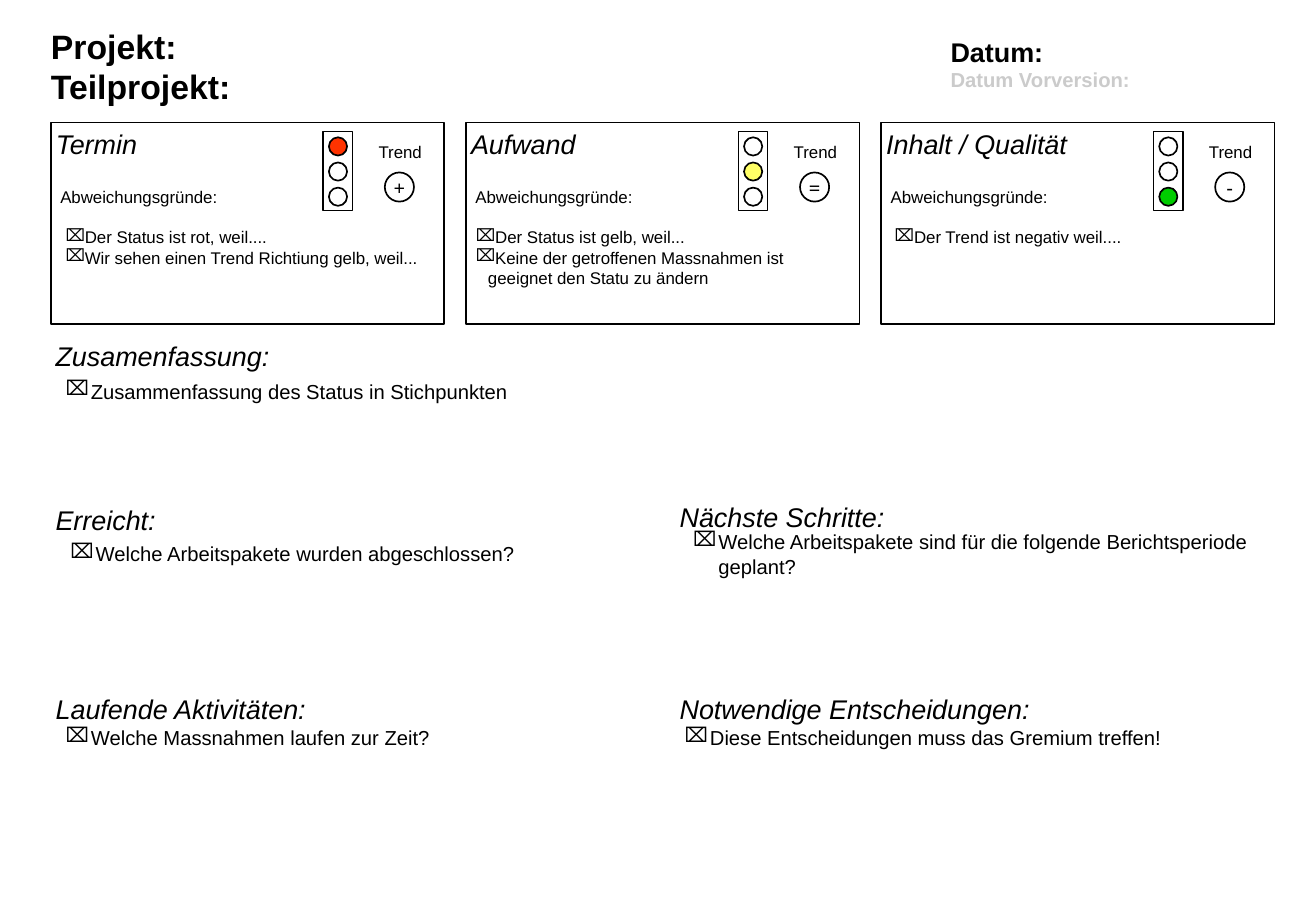
from pptx import Presentation
from pptx.dml.color import RGBColor
from pptx.enum.shapes import MSO_SHAPE
from pptx.enum.text import MSO_ANCHOR, PP_ALIGN
from pptx.oxml.ns import qn
from pptx.util import Pt
from lxml.etree import SubElement

COLORS = {
    "black": "000000", "white": "FFFFFF", "grey": "CBCBCB",
    "red": "FF3300", "yellow": "FFFF66", "green": "00CC00",
}

# Status panels: title, bullet offset, reasons, lamp colours, trend sign, its font
PANEL_LEFT, PANEL_TOP, PANEL_STEP = 30.24, 72.72, 246.24
PANELS = [
    ("Termin", 5.76,
     ["Der Status ist rot, weil....", "Wir sehen einen Trend Richtiung gelb, weil..."],
     ["red", None, None], "+", "Times New Roman"),
    ("Aufwand", 2.88,
     ["Der Status ist gelb, weil...",
      "Keine der getroffenen Massnahmen ist geeignet den Statu zu ändern"],
     [None, "yellow", None], "=", "Times New Roman"),
    ("Inhalt / Qualität", 5.04,
     ["Der Trend ist negativ weil...."],
     [None, None, "green"], "-", "Arial"),
]

# Sections: heading with its left, top, width; item with its left, top, width, height
SECTIONS = [
    ("Zusamenfassung:", (25.92, 198, 141.12),
     "Zusammenfassung des Status in Stichpunkten", (36, 221.76, 722.88, 34.56)),
    ("Erreicht:", (25.92, 295.2, 74.16),
     "Welche Arbeitspakete wurden abgeschlossen?", (38.88, 318.24, 350.64, 34.56)),
    ("Nächste Schritte:", (396, 293.04, 136.08),
     "Welche Arbeitspakete sind für die folgende Berichtsperiode geplant?",
     (408.24, 311.04, 350.64, 48.96)),
    ("Laufende Aktivitäten:", (25.92, 406.8, 163.44),
     "Welche Massnahmen laufen zur Zeit?", (36, 426.96, 354.24, 34.56)),
    ("Notwendige Entscheidungen:", (396, 406.8, 222.48),
     "Diese Entscheidungen muss das Gremium treffen!", (403.2, 426.96, 357.12, 34.56)),
]


def rgb(color):
    return RGBColor.from_string(COLORS[color])


def set_margins(frame, side, vertical):
    frame.margin_left = frame.margin_right = Pt(side)
    frame.margin_top = frame.margin_bottom = Pt(vertical)


def add_run(paragraph, text, size, color="black", font="Arial", bold=False, italic=False):
    run = paragraph.add_run()
    run.text = text
    run.font.name = font
    run.font.size = Pt(size)
    run.font.bold = bold
    run.font.italic = italic
    run.font.color.rgb = rgb(color)


def add_outlined(slide, kind, left, top, width, height, fill=None):
    outlined = slide.shapes.add_shape(kind, Pt(left), Pt(top), Pt(width), Pt(height))
    outlined.shadow.inherit = False
    if fill:
        outlined.fill.solid()
        outlined.fill.fore_color.rgb = rgb(fill)
    else:
        outlined.fill.background()
    outlined.line.color.rgb = rgb("black")
    outlined.line.width = Pt(1)
    return outlined


def add_text(slide, box, lines, margins=(2.88, 2.88), wrap=True):
    """Each line is a pair of text and run options."""
    frame = slide.shapes.add_textbox(*map(Pt, box)).text_frame
    frame.word_wrap = wrap
    set_margins(frame, *margins)
    for number, (text, options) in enumerate(lines):
        paragraph = frame.add_paragraph() if number else frame.paragraphs[0]
        add_run(paragraph, text, **options)
    return frame


def add_bullets(slide, box, items, size, indent):
    frame = add_text(slide, box, [(item, {"size": size}) for item in items])
    for paragraph in frame.paragraphs:
        properties = paragraph._p.get_or_add_pPr()
        properties.set("marL", str(Pt(indent)))
        properties.set("indent", str(-Pt(indent)))
        bullet_color = SubElement(properties, qn("a:buClr"))
        SubElement(bullet_color, qn("a:srgbClr"), val=COLORS["black"])
        SubElement(properties, qn("a:buChar"), char="⌧")


def add_traffic_light(slide, left, top, lamps):
    add_outlined(slide, MSO_SHAPE.RECTANGLE, left, top, 17.28, 46.8, "white")
    for number, lamp in enumerate(lamps):
        add_outlined(slide, MSO_SHAPE.OVAL, left + 3.3, top + 3.4 + 14.9 * number,
                     10.8, 10.8, lamp)


def add_trend(slide, left, top, sign, font):
    add_text(slide, (left, top, 40.32, 19.44), [("Trend", {"size": 10})],
             margins=(7.2, 3.6), wrap=False)
    circle = add_outlined(slide, MSO_SHAPE.OVAL, left + 10.8, top + 21.6,
                          17.28, 17.28, "white")
    frame = circle.text_frame
    frame.word_wrap = False
    frame.vertical_anchor = MSO_ANCHOR.MIDDLE
    set_margins(frame, 0, 0)
    frame.paragraphs[0].alignment = PP_ALIGN.CENTER
    add_run(frame.paragraphs[0], sign, 12, font=font, bold=font != "Arial")


def add_panel(slide, left, title, bullet_offset, reasons, lamps, sign, sign_font):
    panel = add_outlined(slide, MSO_SHAPE.RECTANGLE, left, PANEL_TOP, 233.28, 119.52)
    frame = panel.text_frame
    frame.vertical_anchor = MSO_ANCHOR.TOP
    set_margins(frame, 2.88, 2.88)
    frame.paragraphs[0].alignment = PP_ALIGN.LEFT
    add_run(frame.paragraphs[0], title, 16, italic=True)
    add_text(slide, (left + 2.6, 108, 99.36, 18), [("Abweichungsgründe:", {"size": 10})])
    add_bullets(slide, (left + bullet_offset, 131.76, 225, 48.24), reasons, 10, 7.2)
    add_traffic_light(slide, left + 161.5, 78, lamps)
    add_trend(slide, left + 187.2, 80.64, sign, sign_font)


def add_section(slide, heading, heading_place, item, item_box):
    add_text(slide, (*heading_place, 26.64), [(heading, {"size": 16, "italic": True})],
             margins=(7.2, 3.6), wrap=False)
    add_bullets(slide, item_box, [item], 12, 15)


def main():
    presentation = Presentation()
    presentation.slide_width = Pt(780.48)
    presentation.slide_height = Pt(540)
    slide = presentation.slides.add_slide(presentation.slide_layouts[6])

    # Header
    project = {"size": 20, "bold": True}
    add_text(slide, (30.24, 12.24, 491.76, 48.24),
             [("Projekt:", project), ("Teilprojekt:", project)], margins=(0, 2.88))
    add_text(slide, (563.76, 18, 185.76, 41.76),
             [("Datum:", {"size": 16, "bold": True}),
              ("Datum Vorversion:", {"size": 12, "bold": True, "color": "grey"})],
             margins=(0, 2.88))

    # Status panels
    for number, panel in enumerate(PANELS):
        add_panel(slide, PANEL_LEFT + PANEL_STEP * number, *panel)

    # Report sections
    for section in SECTIONS:
        add_section(slide, *section)

    presentation.save("out.pptx")


if __name__ == "__main__":
    main()
